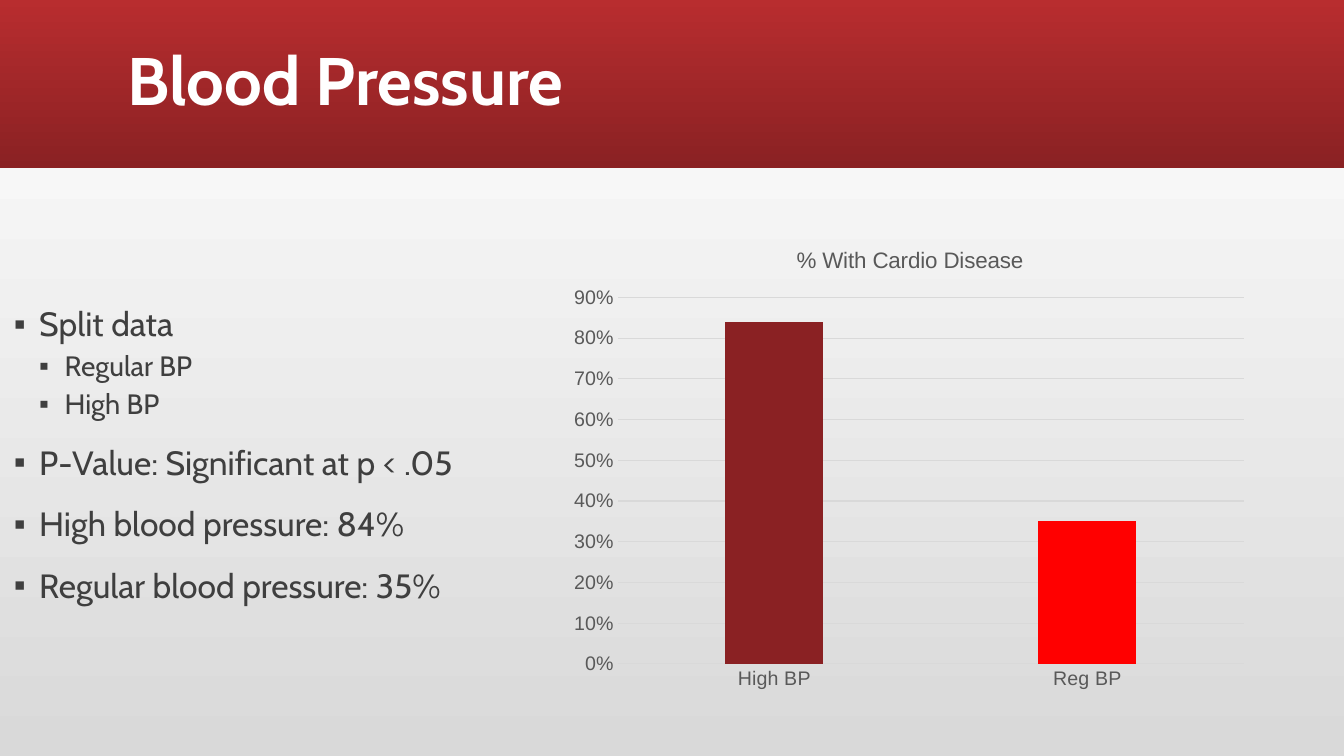
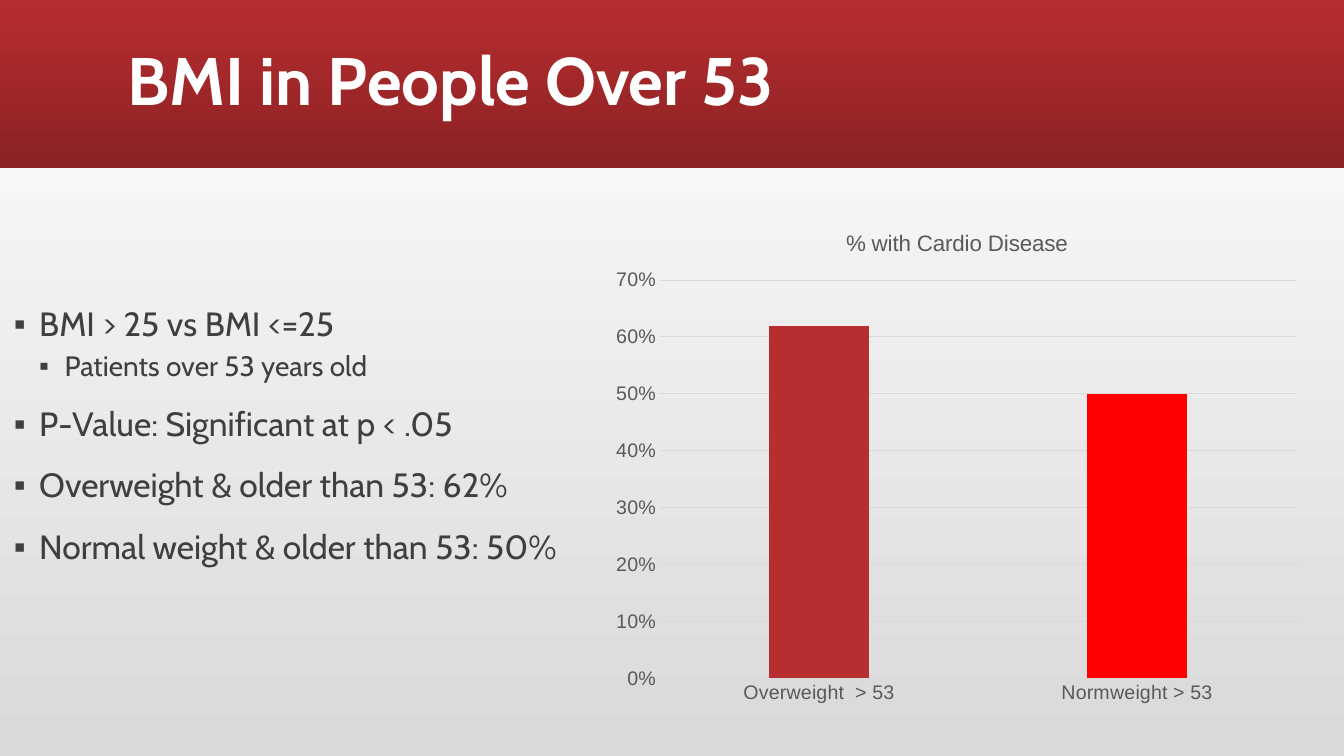
from lxml.etree import SubElement
from pptx import Presentation
from pptx.chart.data import CategoryChartData
from pptx.dml.color import RGBColor
from pptx.enum.chart import XL_CHART_TYPE, XL_TICK_MARK
from pptx.enum.shapes import MSO_SHAPE
from pptx.enum.text import MSO_ANCHOR, MSO_AUTO_SIZE, PP_ALIGN
from pptx.oxml import parse_xml
from pptx.oxml.ns import nsdecls, qn
from pptx.util import Cm, Pt

HUES = {
    "red": "B82D2F",
    "dark": "8A2123",
    "bright": "FF0000",
    "white": "FFFFFF",
    "pale": "D9D9D9",
    "ink": "3F3F3F",
    "gray": "595959",
}
WIDE, HIGH = 33.87, 19.05
HEAD = {"name": "Cabin", "size": Pt(48), "bold": True}
LABEL = {"name": "Arial", "size": Pt(14), "bold": False}
LEVELS = [
    {"size": 24, "before": 18},
    {"size": 20, "before": 6},
]
STEP = 0.64

PAGES = [
    {
        "title": "Blood Pressure",
        "items": [
            (0, "Split data"),
            (1, "Regular BP"),
            (1, "High BP"),
            (0, "P-Value: Significant at p < .05"),
            (0, "High blood pressure: 84%"),
            (0, "Regular blood pressure: 35%"),
        ],
        "chart": {
            "box": (14.17, 5.72, 17.53, 11.84),
            "plot": (0.08, 0.15, 0.9, 0.78),
            "title": "% With Cardio Disease",
            "bars": {"High BP": 0.84, "Reg BP": 0.35},
            "hues": ["dark", "bright"],
            "top": 0.9,
        },
    },
    {
        "title": "BMI in People Over 53",
        "items": [
            (0, "BMI > 25 vs BMI <=25"),
            (1, "Patients over 53 years old"),
            (0, "P-Value: Significant at p < .05"),
            (0, "Overweight & older than 53: 62%"),
            (0, "Normal weight & older than 53: 50%"),
        ],
        "chart": {
            "box": (15.21, 5.28, 17.81, 12.7),
            "plot": (0.08, 0.14, 0.9, 0.79),
            "title": "% with Cardio Disease",
            "bars": {"Overweight  > 53": 0.62, "Normweight > 53": 0.5},
            "hues": ["red", "bright"],
            "top": 0.7,
        },
    },
]


def color(key):
    return RGBColor.from_string(HUES[key])


def put(item, values):
    for name, value in values.items():
        setattr(item, name, value)


def style(font, values, key):
    put(font, values)
    font.color.rgb = color(key)


def place(shape, box):
    put(shape, dict(zip(("left", "top", "width", "height"), map(Cm, box))))


def blend(fill, keys, angle):
    fill.gradient()
    fill.gradient_angle = angle
    for stop, key in zip(fill.gradient_stops, keys):
        stop.color.rgb = color(key)


def add_band(slide):
    band = slide.shapes.add_shape(MSO_SHAPE.RECTANGLE, 0, 0, Cm(WIDE), Cm(4.24))
    band.shadow.inherit = False
    band.line.fill.background()
    blend(band.fill, ("red", "dark"), 270)
    slide.shapes._spTree.insert(2, band._element)


def set_title(slide, text):
    title = slide.shapes.title
    place(title, (2.97, 0.28, 27.94, 3.68))
    frame = title.text_frame
    frame.text = text
    put(frame, {
        "vertical_anchor": MSO_ANCHOR.MIDDLE,
        "auto_size": MSO_AUTO_SIZE.NONE,
        "word_wrap": True,
    })
    para = frame.paragraphs[0]
    put(para, {"alignment": PP_ALIGN.LEFT, "line_spacing": 0.9})
    style(para.runs[0].font, HEAD, "white")


def add_mark(para, level):
    props = para._p.get_or_add_pPr()
    props.set("marL", str(Cm(STEP * (level + 1))))
    props.set("indent", str(-Cm(STEP)))
    tint = SubElement(props, qn("a:buClr"))
    SubElement(tint, qn("a:srgbClr"), val=HUES["ink"])
    SubElement(props, qn("a:buFont"), typeface="Arial")
    SubElement(props, qn("a:buChar"), char="▪")


def add_list(slide, items):
    box = slide.shapes.add_textbox(0, 0, 0, 0)
    place(box, (0.1, 7.62, 15.11, 9.32))
    frame = box.text_frame
    frame.word_wrap = True
    for spot, (level, text) in enumerate(items):
        para = frame.add_paragraph() if spot else frame.paragraphs[0]
        look = LEVELS[level]
        put(para, {
            "text": text,
            "level": level,
            "line_spacing": 0.9,
            "space_before": Pt(look["before"] if spot else 0),
        })
        add_mark(para, level)
        style(para.runs[0].font, {"name": "Cabin", "size": Pt(look["size"])}, "ink")


def set_plot(chart, box):
    area = chart._chartSpace.chart.plotArea
    old = area.find(qn("c:layout"))
    if old is not None:
        area.remove(old)
    parts = "".join(f'<c:{key} val="{value}"/>' for key, value in zip("xywh", box))
    area.insert(0, parse_xml(
        f'<c:layout {nsdecls("c")}><c:manualLayout><c:layoutTarget val="inner"/>'
        f'<c:xMode val="edge"/><c:yMode val="edge"/>{parts}'
        "</c:manualLayout></c:layout>"
    ))


def set_axes(chart, top):
    for axis in (chart.category_axis, chart.value_axis):
        put(axis, {
            "major_tick_mark": XL_TICK_MARK.NONE,
            "minor_tick_mark": XL_TICK_MARK.NONE,
        })
        style(axis.tick_labels.font, LABEL, "gray")
    value = chart.value_axis
    put(value, {
        "minimum_scale": 0,
        "maximum_scale": top,
        "major_unit": 0.1,
        "has_major_gridlines": True,
    })
    put(value.tick_labels, {"number_format": "0%", "number_format_is_linked": False})
    value.format.line.fill.background()
    for rule in (chart.category_axis.format.line, value.major_gridlines.format.line):
        rule.width = Pt(0.75)
        rule.color.rgb = color("pale")


def add_bars(slide, info):
    data = CategoryChartData(number_format="0%")
    data.categories = list(info["bars"])
    data.add_series("Series 1", info["bars"].values())
    frame = slide.shapes.add_chart(
        XL_CHART_TYPE.COLUMN_CLUSTERED, *map(Cm, info["box"]), data
    )
    chart = frame.chart
    put(chart, {"has_legend": False, "has_title": True})
    put(chart.font, {"name": "Arial", "size": Pt(10)})
    text = chart.chart_title.text_frame
    text.text = info["title"]
    style(text.paragraphs[0].runs[0].font, {**LABEL, "size": Pt(16)}, "gray")
    plot = chart.plots[0]
    put(plot, {"gap_width": 219, "overlap": -27, "vary_by_categories": False})
    for spot, key in enumerate(info["hues"]):
        fill = plot.series[0].points[spot].format.fill
        fill.solid()
        fill.fore_color.rgb = color(key)
    set_axes(chart, info["top"])
    set_plot(chart, info["plot"])


def main():
    deck = Presentation()
    put(deck, {"slide_width": Cm(WIDE), "slide_height": Cm(HIGH)})
    blend(deck.slide_master.background.fill, ("pale", "white"), 90)
    for page in PAGES:
        slide = deck.slides.add_slide(deck.slide_layouts[5])
        add_band(slide)
        set_title(slide, page["title"])
        add_list(slide, page["items"])
        add_bars(slide, page["chart"])
    deck.save("out.pptx")


if __name__ == "__main__":
    main()
